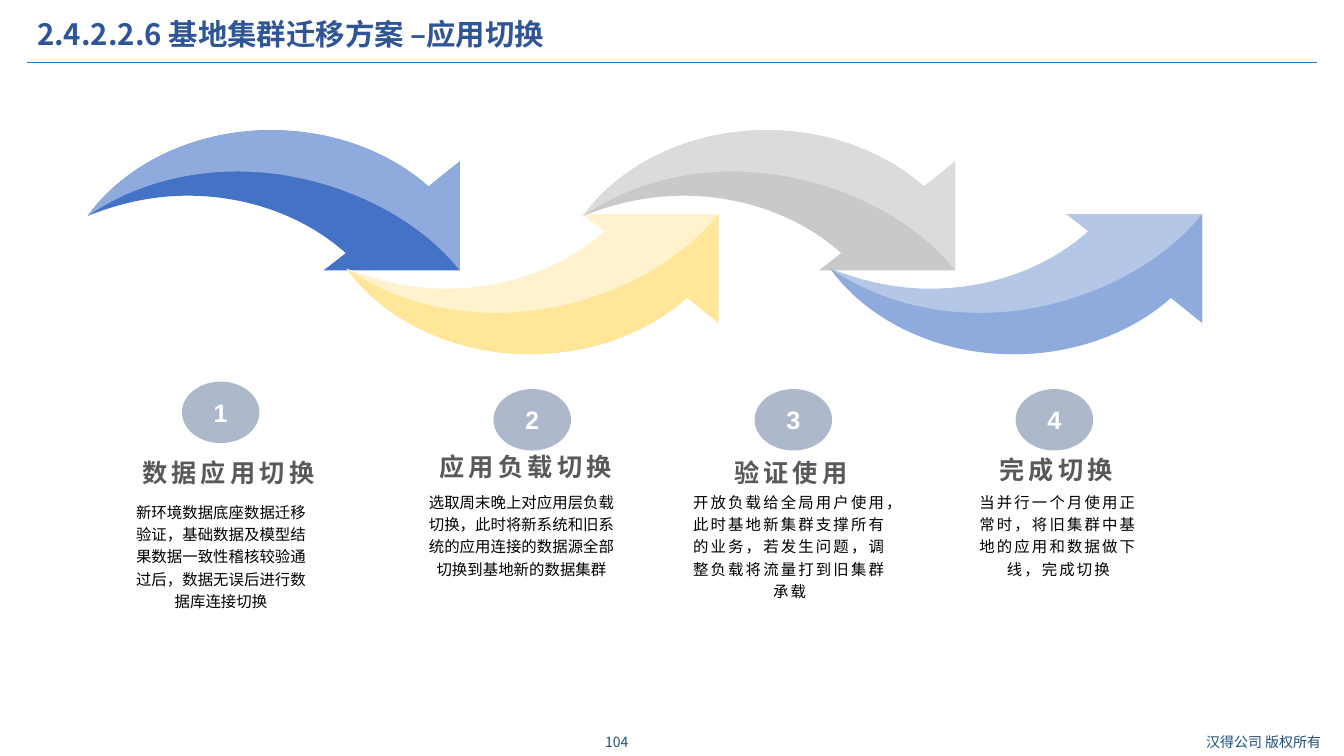
from dataclasses import dataclass

from lxml import etree
from pptx import Presentation
from pptx import util as u
from pptx.dml.color import RGBColor
from pptx.enum import shapes, text
from pptx.oxml.ns import qn

Pt = u.Pt


@dataclass(frozen=True)
class Theme:
    """Colours, fonts and type sizes of the slide."""
    title: str = "2F5597"
    rule: str = "2E75B6"
    footer: str = "1F4E79"
    badge: str = "ADB9CA"
    white: str = "FFFFFF"
    heading: str = "595959"
    body: str = "000000"
    latin: str = "Arial"
    cjk: str = "Noto Sans CJK SC"
    title_size: float = 21
    heading_size: float = 18
    body_size: float = 11
    footer_size: float = 10


T = Theme()

ARROW_HEIGHT = 100.1
TAIL = (0, 61.2)
TIP = (265.7, 100.1)
BARB = (265.7, 22.3)
NECK = (243.4, 40.3)
TOP_EDGE = [((216, 15.8), (175.7, 0), (131, 0)),
            ((74.9, 0), (25.9, 25.2), TAIL)]
UNDER_EDGE = [((21.6, 52.6), (45.4, 46.8), (71.3, 46.8)),
              ((115.9, 46.8), (156.2, 62.6), (184.3, 87.8))]
FOLD_EDGE = [((29.5, 41), (66.2, 29.5), (107.3, 29.5)),
             ((169.2, 29.5), (232.6, 58.3), TIP)]
BODY = TOP_EDGE + UNDER_EDGE + [((168.5, 100.1),), (TIP,), (BARB,)]
FOLD = [(NECK,)] + TOP_EDGE + FOLD_EDGE

ARROWS = [
    (62.7, 93, False, "4472C4", "8FAADC"),
    (247.4, 152.9, True, "FFF2CC", "FFE699"),
    (416.6, 93, False, "C9C9C9", "DBDBDB"),
    (593, 152.9, True, "B4C7E7", "8FAADC"),
]

STEPS = [
    ("数据应用切换", (130, 272.6), (56.9, 312.5), (87.7, 353.9, 140.4, 121), T.cjk, 0,
     "新环境数据底座数据迁移验证，基础数据及模型结果数据一致性稽核较验通过后，数据无误后进行数据库连接切换"),
    ("应用负载切换", (352.5, 277.9), (269.3, 308.2), (298.1, 346.7, 149, 120.2), T.cjk, 0,
     "选取周末晚上对应用层负载切换，此时将新系统和旧系统的应用连接的数据源全部切换到基地新的数据集群"),
    ("验证使用", (539, 277.9), (458.6, 312.5), (489.6, 346.7, 149, 135.4), T.latin, 1.5,
     "开放负载给全局用户使用，此时基地新集群支撑所有的业务，若发生问题，调整负载将流量打到旧集群承载"),
    ("完成切换", (725.5, 277.9), (648.3, 310.1), (690.5, 346.7, 131, 92.9), T.latin, 1.5,
     "当并行一个月使用正常时，将旧集群中基地的应用和数据做下线，完成切换"),
]


def paint(sp, color):
    """Give a shape a plain fill with no line or shadow."""
    sp.shadow.inherit = False
    sp.fill.solid()
    sp.fill.fore_color.rgb = RGBColor.from_string(color)
    sp.line.fill.background()


def bend(sp, segments):
    """Turn each run of three control points into one cubic curve."""
    nodes = iter(list(sp._element.iter(qn("a:lnTo"))))
    for segment in segments:
        node = next(nodes)
        if len(segment) == 3:
            node.tag = qn("a:cubicBezTo")
            for extra in (next(nodes), next(nodes)):
                node.append(extra[0])
                extra.getparent().remove(extra)


def add_outline(s, start, segments, left, top, flip, color):
    """Draw a filled outline, optionally mirrored top to bottom."""
    points = [start] + [point for segment in segments for point in segment]
    placed = [(Pt(left + x), Pt(top + (ARROW_HEIGHT - y if flip else y))) for x, y in points]
    builder = s.shapes.build_freeform(*placed[0])
    builder.add_line_segments(placed[1:])
    sp = builder.convert_to_shape()
    bend(sp, segments)
    paint(sp, color)


def add_arrow(s, left, top, flip, color, fold_color):
    """Draw a two-tone swooping arrow."""
    add_outline(s, NECK, BODY, left, top, flip, color)
    add_outline(s, BARB, FOLD, left, top, flip, fold_color)


def write(sp, words, size, color, font=T.cjk, bold=False, align=text.PP_ALIGN.CENTER,
          anchor=text.MSO_ANCHOR.MIDDLE, spacing=None, tracking=0):
    """Fill a shape with one formatted paragraph."""
    tf = sp.text_frame
    tf.word_wrap = True
    tf.vertical_anchor = anchor
    p = tf.paragraphs[0]
    p.text = words
    p.alignment = align
    if spacing:
        p.line_spacing = spacing
    f = p.font
    f.name, f.size, f.bold = font, Pt(size), bold
    f.color.rgb = RGBColor.from_string(color)
    props = p._p.pPr.find(qn("a:defRPr"))
    if tracking:
        props.set("spc", str(int(tracking * 100)))
    ea = etree.Element(qn("a:ea"), typeface=T.cjk)
    props.find(qn("a:latin")).addnext(ea)
    return tf


def add_text(s, box, words, size, color, inset=(7.2, 3.6), **style):
    """Add a text box at left, top, width, height."""
    sp = s.shapes.add_textbox(*map(Pt, box))
    tf = write(sp, words, size, color, **style)
    tf.margin_left = tf.margin_right = Pt(inset[0])
    tf.margin_top = tf.margin_bottom = Pt(inset[1])


def add_rule(s, left, right, y):
    """Draw the line under the title."""
    line = s.shapes.add_connector(shapes.MSO_CONNECTOR.STRAIGHT,
                                  Pt(left), Pt(y), Pt(right), Pt(y))
    line.line.color.rgb = RGBColor.from_string(T.rule)
    line.line.width = Pt(0.75)
    etree.SubElement(line._element.spPr, qn("a:effectLst"))


def add_badge(s, left, top, number):
    """Draw a numbered oval."""
    sp = s.shapes.add_shape(shapes.MSO_SHAPE.OVAL, Pt(left), Pt(top), Pt(55.4), Pt(43.9))
    paint(sp, T.badge)
    write(sp, str(number), T.heading_size, T.white, font=T.latin, bold=True)


def add_step(s, number, heading, badge, heading_at, body_box, font, tracking, body):
    """Add the badge, heading and description of one step."""
    add_badge(s, *badge, number)
    add_text(s, (*heading_at, 212.4, 38.9), heading, T.heading_size, T.heading, (5, 2.9),
             font=T.latin, bold=True, anchor=text.MSO_ANCHOR.BOTTOM, spacing=1.2, tracking=3)
    add_text(s, body_box, body, T.body_size, T.body, (5, 2.9),
             font=font, anchor=text.MSO_ANCHOR.TOP, spacing=1.2, tracking=tracking)


def main():
    """Build the slide and save it."""
    prs = Presentation()
    prs.slide_width, prs.slide_height = Pt(960), Pt(540)
    s = prs.slides.add_slide(prs.slide_layouts[6])
    add_text(s, (415.4, 520.6, 50.4, 19.4), "104", T.footer_size, T.footer)
    add_text(s, (845.3, 520.6, 114.5, 19.4), "汉得公司 版权所有", T.footer_size, T.footer)
    add_rule(s, 19.4, 940.6, 44.6)
    add_text(s, (19.4, 10.8, 833, 30.2), "2.4.2.2.6 基地集群迁移方案 –应用切换",
             T.title_size, T.title, bold=True, align=text.PP_ALIGN.LEFT,
             anchor=text.MSO_ANCHOR.TOP, spacing=0.9)
    for arrow in ARROWS:
        add_arrow(s, *arrow)
    for number, step in enumerate(STEPS, 1):
        add_step(s, number, *step)
    prs.save("out.pptx")


if __name__ == "__main__":
    main()
